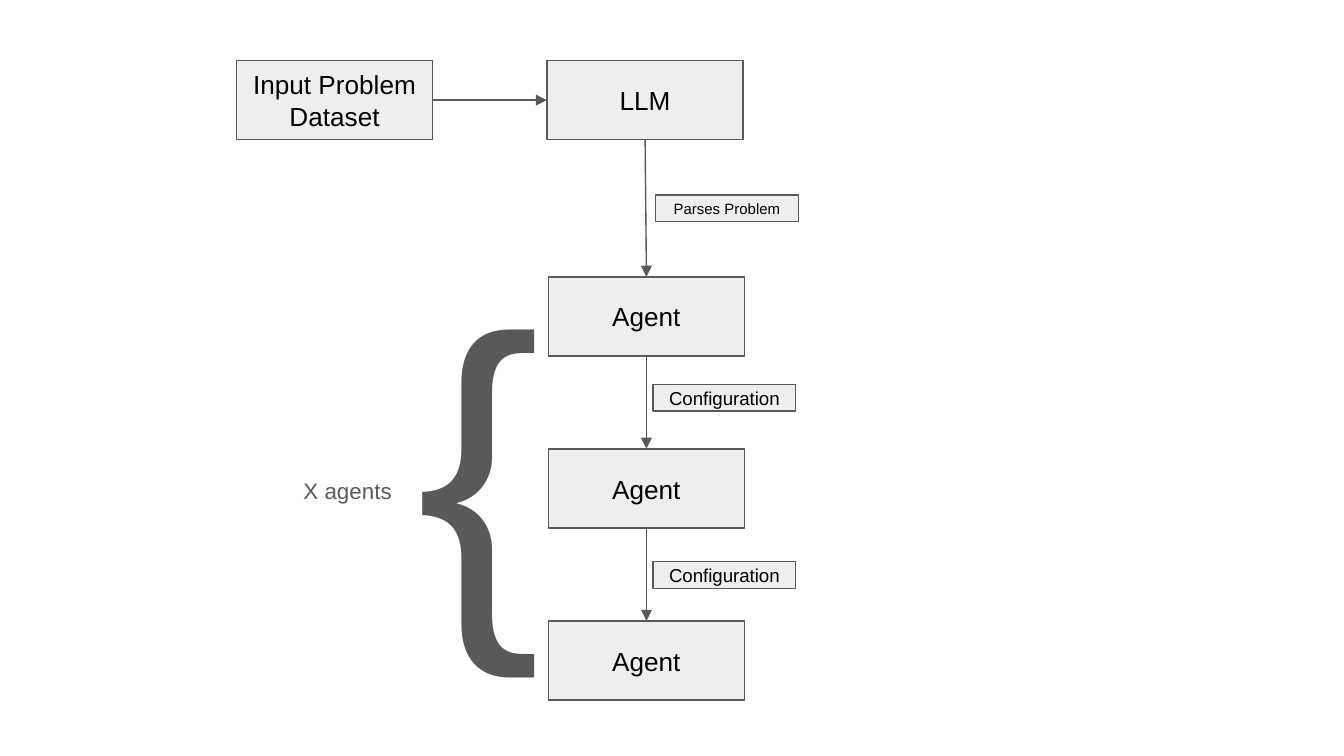
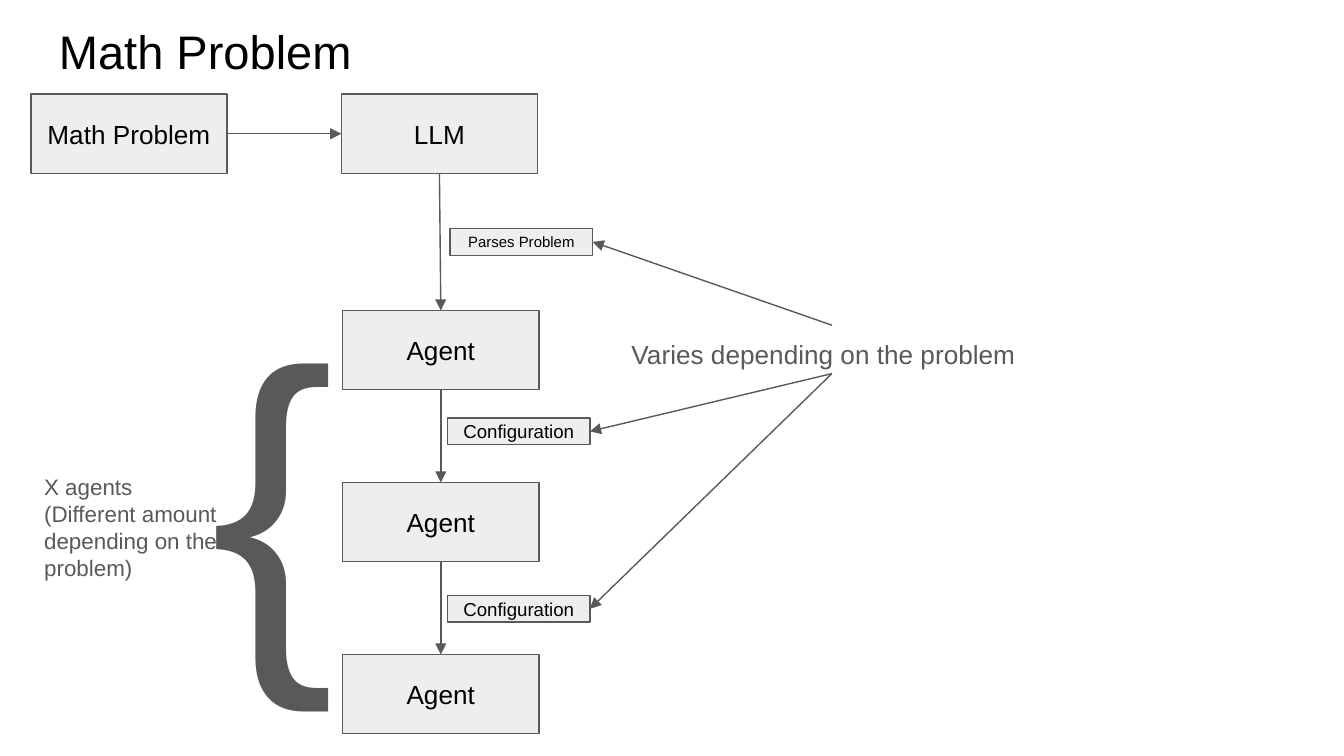
import pptx
import pptx.util
import pptx.dml.color
import pptx.enum.shapes
import pptx.enum.text
import pptx.oxml
import pptx.oxml.ns

Inches = pptx.util.Inches
Pt = pptx.util.Pt

COLORS = {"fill": "EEEEEE", "line": "595959", "note": "595959", "text": "000000"}
FONT = "Arial"
LINE_WIDTH = 0.75
BOX_SIZE = (1.46, 0.59)
LABEL_SIZE = (1.06, 0.2)
AGENT_COUNT = 3
AGENT_PITCH = 1.28
CONFIG_PITCH = 1.32
TOP, LEFT, BOTTOM, RIGHT = range(4)


def rgb(name):
    return pptx.dml.color.RGBColor.from_string(COLORS[name])


def set_text(sp, text, size, color):
    tf = sp.text_frame
    tf.word_wrap = True
    tf.margin_left = tf.margin_right = Inches(0.1)
    tf.margin_top = tf.margin_bottom = Inches(0.1)
    tf.text = text
    for p in tf.paragraphs:
        for r in p.runs:
            r.font.name = FONT
            r.font.size = Pt(size)
            r.font.color.rgb = rgb(color)
    return tf


def add_box(s, x, y, dimensions, text, size):
    w, h = dimensions
    sp = s.shapes.add_shape(pptx.enum.shapes.MSO_SHAPE.RECTANGLE,
                            Inches(x), Inches(y), Inches(w), Inches(h))
    sp.shadow.inherit = False
    sp.fill.solid()
    sp.fill.fore_color.rgb = rgb("fill")
    sp.line.color.rgb = rgb("line")
    sp.line.width = Pt(LINE_WIDTH)
    tf = set_text(sp, text, size, "text")
    tf.vertical_anchor = pptx.enum.text.MSO_ANCHOR.MIDDLE
    for p in tf.paragraphs:
        p.alignment = pptx.enum.text.PP_ALIGN.CENTER
    return sp


def add_text(s, x, y, w, h, text, size, color="note"):
    sp = s.shapes.add_textbox(Inches(x), Inches(y), Inches(w), Inches(h))
    set_text(sp, text, size, color)
    return sp


def add_arrow(s, start, start_site, end, end_site):
    cxn = s.shapes.add_connector(pptx.enum.shapes.MSO_CONNECTOR.STRAIGHT, 0, 0, 0, 0)
    cxn.begin_connect(start, start_site)
    cxn.end_connect(end, end_site)
    cxn.line.color.rgb = rgb("line")
    cxn.line.width = Pt(LINE_WIDTH)
    qn = pptx.oxml.ns.qn
    ln = cxn.line._get_or_add_ln()
    ln.append(ln.makeelement(qn("a:tailEnd"), {"type": "triangle"}))
    sp_pr = cxn._element.spPr
    sp_pr.append(sp_pr.makeelement(qn("a:effectLst"), {}))


def add_pipeline(s, x, y, source):
    problem = add_box(s, x, y, BOX_SIZE, source, 14)
    llm = add_box(s, x + 2.31, y, BOX_SIZE, "LLM", 14)
    agents = [add_box(s, x + 2.32, y + 1.61 + i * AGENT_PITCH, BOX_SIZE, "Agent", 14)
              for i in range(AGENT_COUNT)]
    add_arrow(s, problem, RIGHT, llm, LEFT)
    steps = [llm] + agents
    for upper, lower in zip(steps, steps[1:]):
        add_arrow(s, upper, BOTTOM, lower, TOP)
    parses = add_box(s, x + 3.12, y + 1, LABEL_SIZE, "Parses Problem", 8)
    configs = [add_box(s, x + 3.1, y + 2.41 + i * CONFIG_PITCH, LABEL_SIZE, "Configuration", 10)
               for i in range(AGENT_COUNT - 1)]
    add_text(s, x + 1.24, y + 1.14, 0.61, 3.39, "{", 200)
    return parses, configs


def add_general_slide(prs):
    s = prs.slides.add_slide(prs.slide_layouts[6])
    add_pipeline(s, 1.76, 0.45, "Input Problem Dataset")
    add_text(s, 2.16, 3.45, 0.94, 0.37, "X agents", 12)


def add_math_slide(prs):
    s = prs.slides.add_slide(prs.slide_layouts[6])
    add_text(s, 0.34, 0.07, 9.32, 0.63, "Math Problem", 25.2, "text")
    parses, configs = add_pipeline(s, 0.23, 0.7, "Math Problem")
    add_text(s, 0.23, 3.42, 1.59, 1.01,
             "X agents\n(Different amount depending on the problem)", 12)
    note = add_text(s, 4.6, 2.42, 3.18, 0.36, "Varies depending on the problem", 14)
    add_arrow(s, note, TOP, parses, RIGHT)
    for config in configs:
        add_arrow(s, note, BOTTOM, config, RIGHT)


def main():
    prs = pptx.Presentation()
    prs.slide_width = Inches(10)
    prs.slide_height = prs.slide_width * 9 // 16
    add_general_slide(prs)
    add_math_slide(prs)
    prs.save("out.pptx")


if __name__ == "__main__":
    main()
